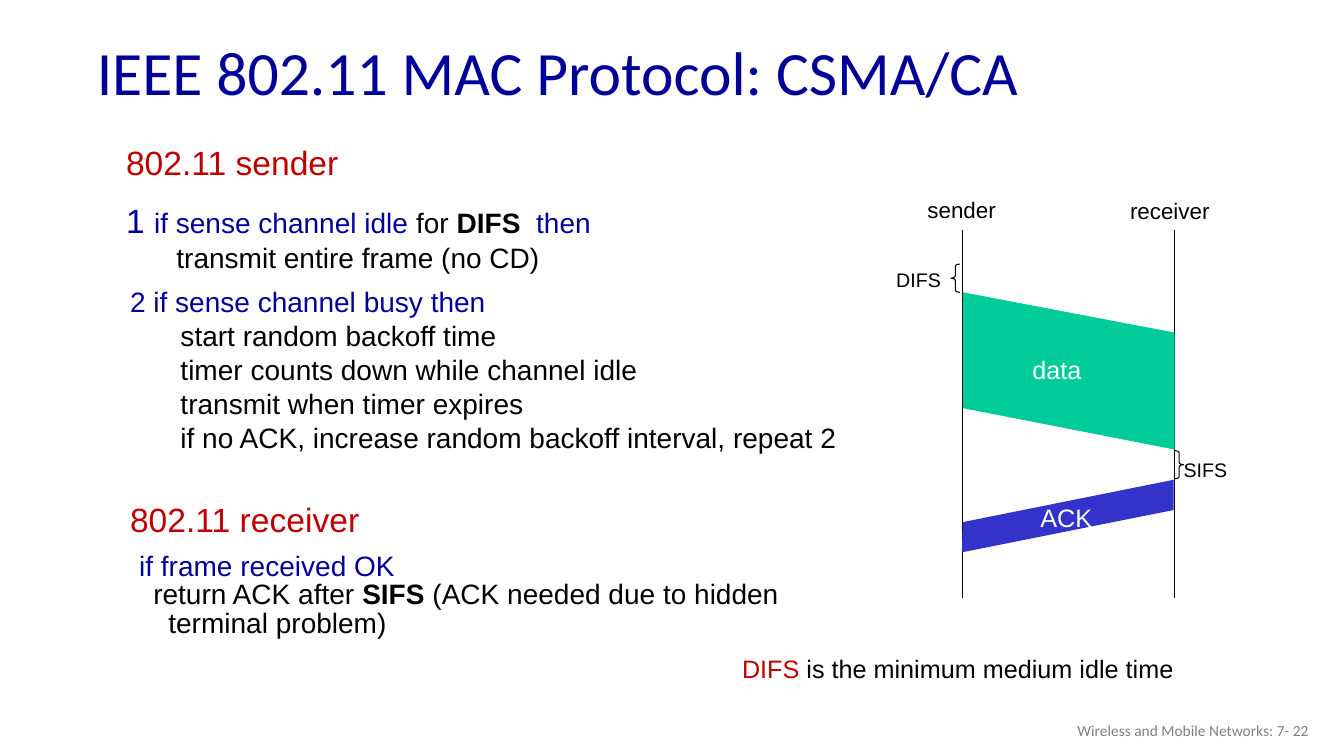
from lxml import etree
from pptx import Presentation
from pptx.dml.color import RGBColor
from pptx.enum.shapes import MSO_CONNECTOR, MSO_SHAPE
from pptx.enum.text import MSO_ANCHOR, MSO_AUTO_SIZE, PP_ALIGN
from pptx.oxml.ns import qn
from pptx.util import Inches, Pt

STRAIGHT = MSO_CONNECTOR.STRAIGHT
LEFT_BRACE, RIGHT_BRACE = MSO_SHAPE.LEFT_BRACE, MSO_SHAPE.RIGHT_BRACE
TOP, MIDDLE = MSO_ANCHOR.TOP, MSO_ANCHOR.MIDDLE
LEFT, RIGHT = PP_ALIGN.LEFT, PP_ALIGN.RIGHT
NO_FIT, GROW = MSO_AUTO_SIZE.NONE, MSO_AUTO_SIZE.SHAPE_TO_FIT_TEXT

COLORS = {
    "navy": "000099",
    "red": "C00000",
    "black": "000000",
    "white": "FFFFFF",
    "gray": "808080",
    "data": "00CC99",
    "ack": "3333CC",
}
HANGING = (0.38, -0.38)
STEP = (0.81, -0.31)


def color(name):
    """Return the named colour."""
    return RGBColor.from_string(COLORS[name])


def place(shape, box):
    """Move a shape to a box of left, top, width and height in inches."""
    shape.left, shape.top, shape.width, shape.height = map(Inches, box)


def format_run(run, size, color_name, bold=False, font_name="Arial"):
    """Set the font of a run."""
    run.font.name = font_name
    run.font.size = Pt(size)
    run.font.bold = bold
    run.font.color.rgb = color(color_name)


def write_paragraph(paragraph, runs, indent=HANGING, before=0, after=0, level=0, line=0.85):
    """Write the runs of an unbulleted paragraph with its indent and spacing."""
    properties = paragraph._p.get_or_add_pPr()
    properties.set("marL", str(Inches(indent[0])))
    properties.set("indent", str(Inches(indent[1])))
    etree.SubElement(properties, qn("a:buNone"))
    paragraph.level = level
    paragraph.alignment = LEFT
    paragraph.line_spacing = line
    paragraph.space_before, paragraph.space_after = Pt(before), Pt(after)
    for text, *style in runs:
        run = paragraph.add_run()
        run.text = text
        format_run(run, *style)


def fill_list(placeholder, box, paragraphs):
    """Fill a body placeholder with a list of paragraph settings."""
    place(placeholder, box)
    frame = placeholder.text_frame
    frame.word_wrap, frame.auto_size, frame.vertical_anchor = True, NO_FIT, TOP
    for index, settings in enumerate(paragraphs):
        paragraph = frame.add_paragraph() if index else frame.paragraphs[0]
        write_paragraph(paragraph, **settings)


def step(text):
    """Return the settings of an indented protocol step."""
    return {"runs": [(text, 20, "black")], "indent": STEP, "before": 4, "level": 1}


def add_title(title, box):
    """Write the slide title."""
    place(title, box)
    frame = title.text_frame
    frame.text = "IEEE 802.11 MAC Protocol: CSMA/CA"
    frame.auto_size, frame.vertical_anchor = NO_FIT, MIDDLE
    paragraph = frame.paragraphs[0]
    paragraph.alignment, paragraph.line_spacing = LEFT, 0.9
    format_run(paragraph.runs[0], 44, "navy", font_name="Calibri")


def add_footer(slide, box):
    """Add the chapter name and page number."""
    frame = slide.shapes.add_textbox(*map(Inches, box)).text_frame
    frame.text = "Wireless and Mobile Networks: 7- 22"
    frame.word_wrap, frame.vertical_anchor = True, MIDDLE
    frame.paragraphs[0].alignment = RIGHT
    format_run(frame.paragraphs[0].runs[0], 11, "gray", font_name="Calibri")


def add_idle_rule(placeholder, box):
    """Write the sender's rule for an idle channel."""
    idle = [
        ("1 ", 24, "navy"),
        ("if sense channel idle", 20, "navy"),
        (" for ", 20, "black"),
        ("DIFS ", 20, "black", True),
        (" then", 20, "navy"),
    ]
    fill_list(placeholder, box, [
        {"runs": [("802.11 sender", 24, "red")], "after": 12},
        {"runs": idle, "before": 4.8},
        step("transmit entire frame (no CD)"),
    ])


def add_busy_rule(placeholder, box):
    """Write the sender's rule for a busy channel."""
    steps = [
        "start random backoff time",
        "timer counts down while channel idle",
        "transmit when timer expires",
        "if no ACK, increase random backoff interval, repeat 2",
    ]
    heading = {"runs": [("2 if sense channel busy then", 20, "navy")]}
    fill_list(placeholder, box, [heading] + [step(text) for text in steps])


def add_receiver_rule(placeholder, box):
    """Write the receiver's rule."""
    reply = [
        ("return ACK after ", 20, "black"),
        ("SIFS ", 20, "black", True),
        ("(ACK needed due to hidden terminal problem)", 20, "black"),
    ]
    fill_list(placeholder, box, [
        {"runs": [("802.11 receiver", 24, "red")], "after": 10},
        {"runs": [("if frame received OK", 20, "navy")], "indent": (0.09, 0)},
        {"runs": reply, "indent": (0.38, -0.15)},
    ])


def add_note(placeholder, box):
    """Write the definition of DIFS."""
    definition = [("DIFS", 18, "red"), (" is the minimum medium idle time", 18, "black")]
    fill_list(placeholder, box, [{"runs": definition, "indent": (0, 0), "line": 1.0}])


def add_timeline(slide, left, top, bottom):
    """Draw one vertical time axis."""
    ends = map(Inches, (left, top, left, bottom))
    connector = slide.shapes.add_connector(STRAIGHT, *ends)
    connector.line.color.rgb = color("black")
    connector.line.width = Pt(0.75)
    etree.SubElement(connector._element.spPr, qn("a:effectLst"))


def add_frame(slide, points, fill_name):
    """Draw a transmitted frame as a slanted band."""
    corners = [(Inches(x), Inches(y)) for x, y in points]
    builder = slide.shapes.build_freeform(*corners[0])
    builder.add_line_segments(corners[1:], close=True)
    band = builder.convert_to_shape()
    band.shadow.inherit = False
    band.fill.solid()
    band.fill.fore_color.rgb = color(fill_name)
    band.line.fill.background()


def add_brace(slide, kind, left, top):
    """Draw a brace that marks a waiting time."""
    brace = slide.shapes.add_shape(kind, *map(Inches, (left, top, 0.09, 0.28)))
    brace.adjustments[0] = 0.25
    brace.shadow.inherit = False
    brace.fill.background()
    brace.line.color.rgb = color("black")
    brace.line.width = Pt(0.75)


def add_label(slide, text, box, size, color_name):
    """Add a one-line diagram label."""
    frame = slide.shapes.add_textbox(*map(Inches, box)).text_frame
    frame.text = text
    frame.word_wrap, frame.auto_size = False, GROW
    format_run(frame.paragraphs[0].runs[0], size, color_name)


def add_diagram(slide, box):
    """Draw the exchange between sender and receiver, whose axes are the box sides."""
    left, top, width, height = box
    right = left + width
    for axis in (left, right):
        add_timeline(slide, axis, top, top + height)
    add_frame(slide, [(left, top + 0.62), (right, top + 1.02),
                      (right, top + 2.18), (left, top + 1.77)], "data")
    add_frame(slide, [(left - 0.01, top + 3.2), (right - 0.01, top + 2.78),
                      (right - 0.01, top + 2.48), (left, top + 2.9)], "ack")
    add_brace(slide, LEFT_BRACE, left - 0.12, top + 0.34)
    add_brace(slide, RIGHT_BRACE, right, top + 2.19)
    labels = [
        ("sender", -0.45, -0.38, 0.91, 0.37, 16, "black"),
        ("receiver", 1.56, -0.37, 1, 0.37, 16, "black"),
        ("DIFS", -0.76, 0.33, 0.65, 0.34, 14, "black"),
        ("data", 0.59, 1.19, 0.69, 0.4, 18, "white"),
        ("SIFS", 2.09, 2.21, 0.64, 0.34, 14, "black"),
        ("ACK", 0.67, 2.65, 0.72, 0.4, 18, "white"),
    ]
    for text, x, y, label_width, label_height, size, color_name in labels:
        add_label(slide, text, (left + x, top + y, label_width, label_height), size, color_name)


def main():
    """Build and save the slide."""
    presentation = Presentation()
    presentation.slide_width, presentation.slide_height = Inches(13.33), Inches(7.5)
    slide = presentation.slides.add_slide(presentation.slide_layouts.get_by_name("Comparison"))
    title, idle, busy, receiver, note = slide.placeholders
    add_title(title, (0.86, 0.26, 11.5, 0.98))
    add_idle_rule(idle, (1.15, 1.42, 7.31, 1.41))
    add_busy_rule(busy, (1.19, 2.82, 7.31, 1.86))
    add_receiver_rule(receiver, (1.19, 4.96, 7.31, 1.86))
    add_note(note, (7.26, 6.43, 6, 0.4))
    add_diagram(slide, (9.55, 2.28, 2.1, 3.65))
    add_footer(slide, (10.08, 7.05, 3, 0.4))
    presentation.save("out.pptx")


if __name__ == "__main__":
    main()
